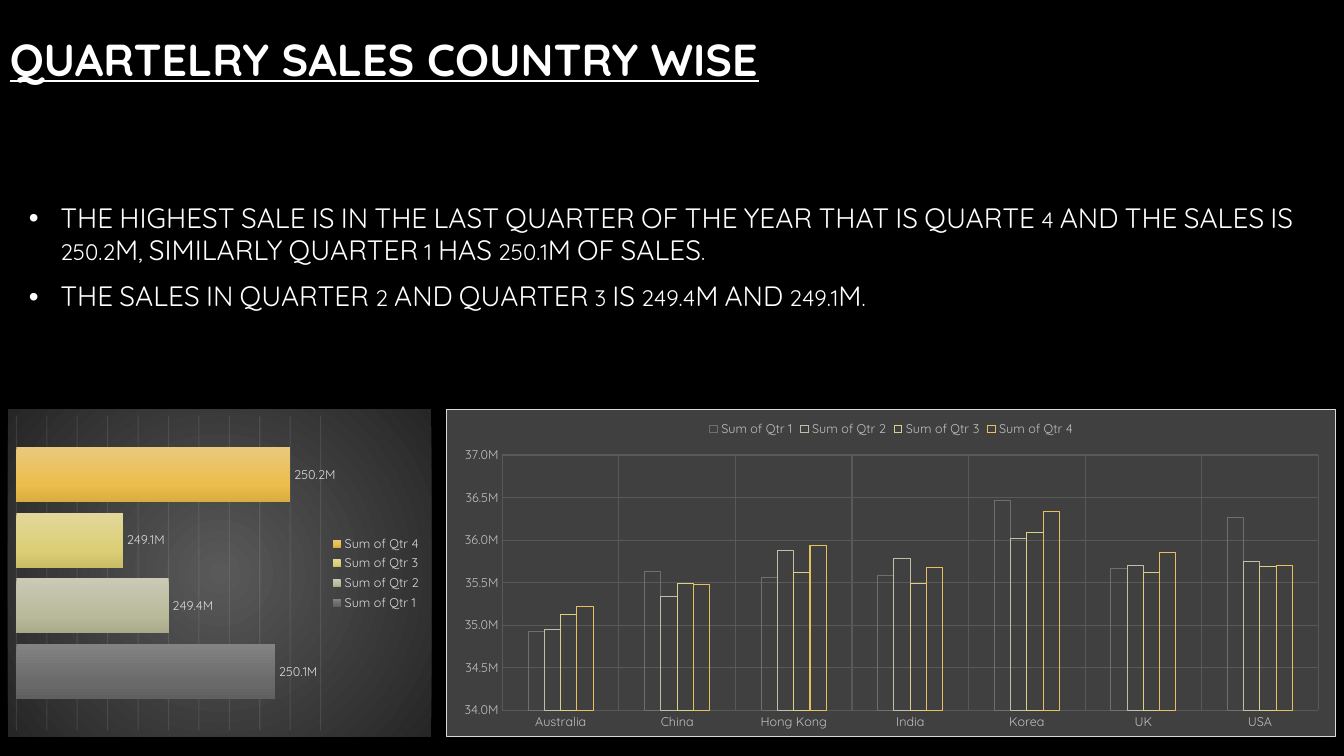
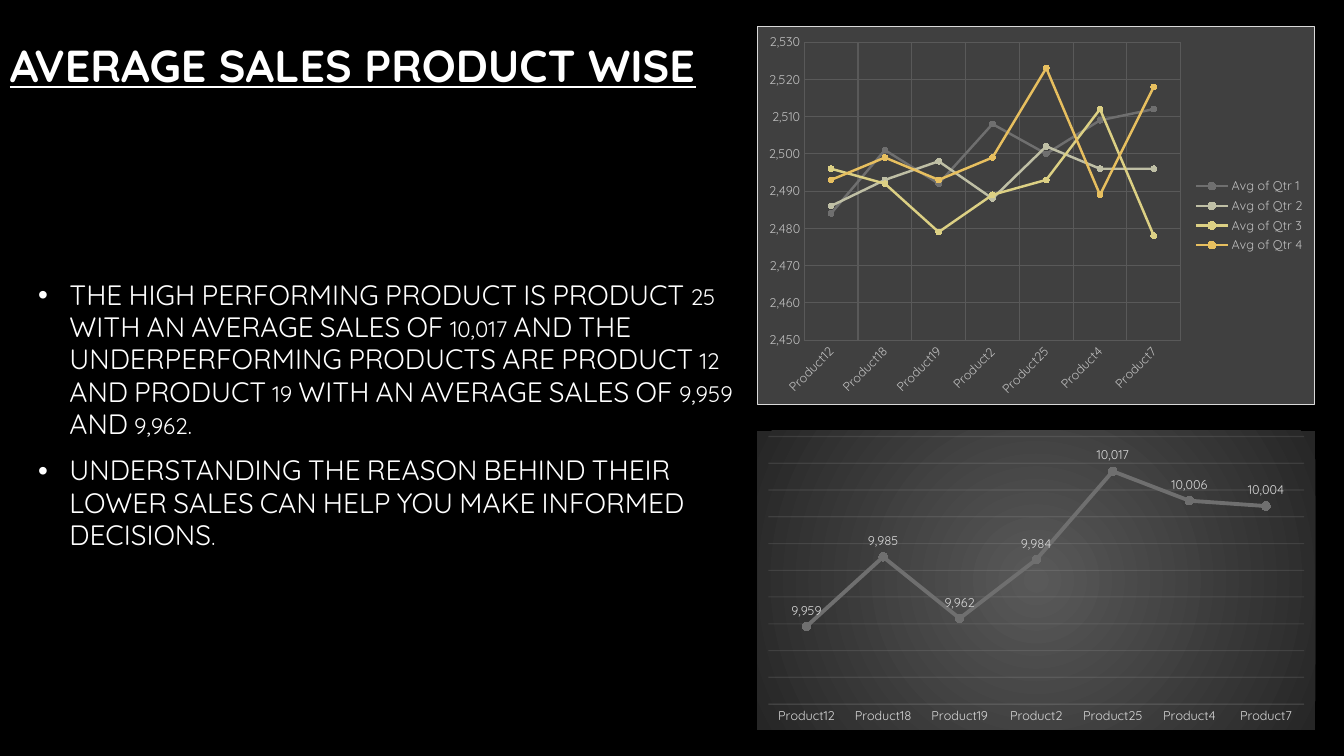
from dataclasses import dataclass

from pptx import Presentation
from pptx.chart.data import CategoryChartData
from pptx.dml.color import RGBColor
from pptx.enum.chart import (XL_CHART_TYPE, XL_LABEL_POSITION, XL_LEGEND_POSITION,
                             XL_MARKER_STYLE, XL_TICK_MARK)
from pptx.enum.text import MSO_ANCHOR
from pptx.oxml import parse_xml
from pptx.oxml.ns import nsdecls, qn
from pptx.util import Cm, Pt

COLUMNS, BARS = XL_CHART_TYPE.COLUMN_CLUSTERED, XL_CHART_TYPE.BAR_CLUSTERED
LINES = XL_CHART_TYPE.LINE_MARKERS
LEGEND_TOP, LEGEND_RIGHT = XL_LEGEND_POSITION.TOP, XL_LEGEND_POSITION.RIGHT
LABEL_END, LABEL_ABOVE = XL_LABEL_POSITION.OUTSIDE_END, XL_LABEL_POSITION.ABOVE
CIRCLE, NO_TICK = XL_MARKER_STYLE.CIRCLE, XL_TICK_MARK.NONE
MIDDLE = MSO_ANCHOR.MIDDLE


@dataclass(frozen=True)
class Theme:
    font: str = "Quicksand"
    background: str = "000000"
    text: str = "FFFFFF"
    panel: str = "404040"
    border: str = "D9D9D9"
    grid: str = "595959"
    faint: str = "F2F2F2"
    axis_text: str = "BFBFBF"
    label_text: str = "D9D9D9"
    quarters: tuple = ("6F6F6F", "BFBFA5", "DCD084", "E7BF5F")
    bar_shades: tuple = (("838383", "6A6A6A", "606060"), ("CACAB5", "B9B99B", "A9A98C"),
                         ("E2D89B", "DCCE75", "CABD67"), ("EAC97E", "ECBD4B", "DAAD41"))
    glow: tuple = ("595959", "262626")
    title_size: int = 32
    body_size: int = 20
    chart_size: int = 9


THEME = Theme()
rgb = RGBColor.from_string
MILLIONS, THOUSANDS = '0.0,,"M"', "#,##0"


def gradient(positions, colors, direction):
    """Gradient fill; positions are percentages, direction is its XML."""
    stops = "".join(f'<a:gs pos="{p * 1000}"><a:srgbClr val="{c}"/></a:gs>'
                    for p, c in zip(positions, colors))
    return parse_xml(f'<a:gradFill {nsdecls("a")} rotWithShape="1">'
                     f"<a:gsLst>{stops}</a:gsLst>{direction}</a:gradFill>")


def add_sales_chart(slide, kind, box, categories, series, fmt, scale, glowing, legend=None):
    """Chart on a flat bordered panel, or on a glowing one with faint rules."""
    data = CategoryChartData(number_format=fmt)
    data.categories = categories
    for name, values in series:
        data.add_series(name, values)
    chart = slide.shapes.add_chart(kind, *map(Cm, box), data).chart
    chart.has_title = False
    text_color = THEME.label_text if glowing else THEME.axis_text
    chart.font.name, chart.font.size = THEME.font, Pt(THEME.chart_size)
    chart.font.color.rgb = rgb(text_color)
    chart.has_legend = legend is not None
    if chart.has_legend:
        chart.legend.position = legend
        chart.legend.include_in_layout = False

    # Panel behind the chart, with square corners
    space = chart._chartSpace
    if space.find(qn("c:roundedCorners")) is None:
        space.find(qn("c:date1904")).addnext(
            parse_xml(f'<c:roundedCorners {nsdecls("c")} val="0"/>'))
    outline = "<a:noFill/>" if glowing else f'<a:solidFill><a:srgbClr val="{THEME.border}"/></a:solidFill>'
    panel = parse_xml(f'<c:spPr {nsdecls("c", "a")}><a:solidFill><a:srgbClr val="{THEME.panel}"/>'
                      f'</a:solidFill><a:ln w="9525">{outline}</a:ln></c:spPr>')
    if glowing:
        panel.replace(panel[0], gradient((0, 100), THEME.glow,
                      '<a:path path="circle"><a:fillToRect l="50000" t="50000" '
                      'r="50000" b="50000"/></a:path>'))
    space.find(qn("c:chart")).addnext(panel)

    # Axes and rules
    across, up = chart.category_axis, chart.value_axis
    up.minimum_scale, up.maximum_scale, up.major_unit = scale
    up.tick_labels.number_format, up.tick_labels.number_format_is_linked = fmt, False
    up.visible = not glowing
    across.visible = kind != BARS
    across.has_major_gridlines = not glowing
    rules = [up.major_gridlines.format.line]
    for axis in (across, up):
        axis.major_tick_mark = axis.minor_tick_mark = NO_TICK
        axis.format.line.fill.background()
    if not glowing:
        rules.append(across.major_gridlines.format.line)
    elif across.visible:
        rules.append(across.format.line)
    for rule in rules:
        rule.width = Pt(0.75)
        rule.color.rgb = rgb(THEME.faint if glowing else THEME.grid)
        if glowing:
            rule.fill._xPr.find(".//" + qn("a:srgbClr")).append(
                parse_xml(f'<a:alpha {nsdecls("a")} val="10000"/>'))

    # Series
    plot = chart.plots[0]
    plot.vary_by_categories = False
    for item, color in zip(plot.series, THEME.quarters):
        if kind == LINES:
            item.smooth = False
            item.format.line.color.rgb = rgb(color)
            item.format.line.width = Pt(2.75 if glowing else 1.75)
            item.marker.style, item.marker.size = CIRCLE, 6 if glowing else 4
            item.marker.format.fill.solid()
            item.marker.format.fill.fore_color.rgb = rgb(color)
            item.marker.format.line.color.rgb = rgb(color)
        elif kind == COLUMNS:
            item.format.fill.background()
            item.format.line.color.rgb = rgb(color)
            item.format.line.width = Pt(0.75)
    if glowing:
        plot.has_data_labels = True
        labels = plot.data_labels
        labels.show_value = True
        labels.number_format, labels.number_format_is_linked = fmt, False
        labels.position = LABEL_END if kind == BARS else LABEL_ABOVE
        labels.font.name, labels.font.size = THEME.font, Pt(THEME.chart_size)
        labels.font.color.rgb = rgb(THEME.label_text)
    return chart


prs = Presentation()
prs.slide_width, prs.slide_height = Cm(33.87), Cm(19.05)
backdrop = prs.slide_master.background.fill
backdrop.solid()
backdrop.fore_color.rgb = rgb(THEME.background)

# Titles and bullets: title, title box, bullet box, bullets
pages = [
    ("QUARTELRY SALES COUNTRY WISE", (0, 0, 27.5, 2.97), (0.48, 2.97, 33.17, 7.06),
     ["THE HIGHEST SALE IS IN THE LAST QUARTER OF THE YEAR THAT IS QUARTE 4 AND THE "
      "SALES IS 250.2M, SIMILARLY QUARTER 1 HAS 250.1M OF SALES.",
      "THE SALES IN QUARTER 2 AND QUARTER 3 IS 249.4M AND 249.1M."]),
    ("AVERAGE SALES PRODUCT WISE", (0, 0, 27.5, 3.25), (0.71, 3.25, 18.11, 14.45),
     ["THE HIGH PERFORMING PRODUCT IS PRODUCT 25 WITH AN AVERAGE SALES OF 10,017 AND THE "
      "UNDERPERFORMING PRODUCTS ARE PRODUCT 12 AND PRODUCT 19 WITH AN AVERAGE SALES OF "
      "9,959 AND 9,962.",
      "UNDERSTANDING THE REASON BEHIND THEIR LOWER SALES CAN HELP YOU MAKE INFORMED "
      "DECISIONS."]),
]
slides = []
for title, title_box, bullet_box, bullets in pages:
    slide = prs.slides.add_slide(prs.slide_layouts[6])
    slides.append(slide)
    for box, lines, is_title in ((title_box, [title], True), (bullet_box, bullets, False)):
        frame = slide.shapes.add_textbox(*map(Cm, box)).text_frame
        frame.word_wrap, frame.vertical_anchor = True, MIDDLE
        for index, line in enumerate(lines):
            paragraph = frame.add_paragraph() if index else frame.paragraphs[0]
            run = paragraph.add_run()
            run.text = line
            run.font.name, run.font.color.rgb = THEME.font, rgb(THEME.text)
            if is_title:
                run.font.size = Pt(THEME.title_size)
                run.font.bold = run.font.underline = True
                continue
            run.font.size = Pt(THEME.body_size)
            run.font._rPr.set("cap", "small")
            paragraph.line_spacing = 0.96
            paragraph.space_before, paragraph.space_after = Pt(4), Pt(6)
            props = paragraph._p.get_or_add_pPr()
            props.set("marL", str(Cm(0.79)))
            props.set("indent", str(-Cm(0.79)))
            for bullet in (f'<a:buClr {nsdecls("a")}><a:srgbClr val="{THEME.text}"/></a:buClr>',
                           f'<a:buFont {nsdecls("a")} typeface="Arial"/>',
                           f'<a:buChar {nsdecls("a")} char="•"/>'):
                props.append(parse_xml(bullet))
country_slide, product_slide = slides

# Quarterly sales by country, in millions
countries = ["Australia", "China", "Hong Kong", "India", "Korea", "UK", "USA"]
country_sales = [
    (34.92, 35.63, 35.56, 35.58, 36.47, 35.67, 36.26),
    (34.95, 35.34, 35.88, 35.78, 36.02, 35.70, 35.75),
    (35.12, 35.49, 35.62, 35.49, 36.09, 35.62, 35.69),
    (35.22, 35.48, 35.94, 35.68, 36.33, 35.85, 35.70),
]
by_country = add_sales_chart(
    country_slide, COLUMNS, (11.25, 10.31, 22.43, 8.26), countries,
    [(f"Sum of Qtr {q}", [round(v * 1e6) for v in values])
     for q, values in enumerate(country_sales, 1)],
    MILLIONS, (34e6, 37e6, 0.5e6), False, LEGEND_TOP)
by_country.plots[0].gap_width, by_country.plots[0].overlap = 315, 0

# Total sales by quarter, in millions
quarter_totals = (250.1, 249.4, 249.1, 250.2)
by_quarter = add_sales_chart(
    country_slide, BARS, (0.2, 10.31, 10.67, 8.26), ["1"],
    [(f"Sum of Qtr {q}", [round(v * 1e6)]) for q, v in enumerate(quarter_totals, 1)],
    MILLIONS, (248.4e6, 250.4e6, 0.2e6), True, LEGEND_RIGHT)
by_quarter.plots[0].gap_width, by_quarter.plots[0].overlap = 115, -20
for bar, shades in zip(by_quarter.plots[0].series, THEME.bar_shades):
    bar.format.line.fill.background()
    bar._element.get_or_add_spPr().insert(
        0, gradient((0, 69, 100), shades, '<a:lin ang="5400000" scaled="0"/>'))

# Average sales by product and quarter
products = [f"Product{n}" for n in (12, 18, 19, 2, 25, 4, 7)]
product_averages = [
    (2484, 2501, 2492, 2508, 2500, 2509, 2512),
    (2486, 2493, 2498, 2488, 2502, 2496, 2496),
    (2496, 2492, 2479, 2489, 2493, 2512, 2478),
    (2493, 2499, 2493, 2499, 2523, 2489, 2518),
]
by_product = add_sales_chart(
    product_slide, LINES, (19.08, 0.66, 14.07, 9.55), products,
    [(f"Avg of Qtr {q}", values) for q, values in enumerate(product_averages, 1)],
    THOUSANDS, (2450, 2530, 10), False, LEGEND_RIGHT)
product_labels = by_product.category_axis.tick_labels.font
product_labels.size, product_labels.name = Pt(THEME.chart_size), THEME.font
product_labels.color.rgb = rgb(THEME.axis_text)
by_product.category_axis._element.find(
    qn("c:txPr")).find(qn("a:bodyPr")).set("rot", "-2700000")

# Average yearly sales by product
add_sales_chart(
    product_slide, LINES, (19.08, 10.85, 14.07, 7.54), products,
    [("Series 1", (9959, 9985, 9962, 9984, 10017, 10006, 10004))],
    THOUSANDS, (9930, 10030, 10), True)

prs.save("out.pptx")
